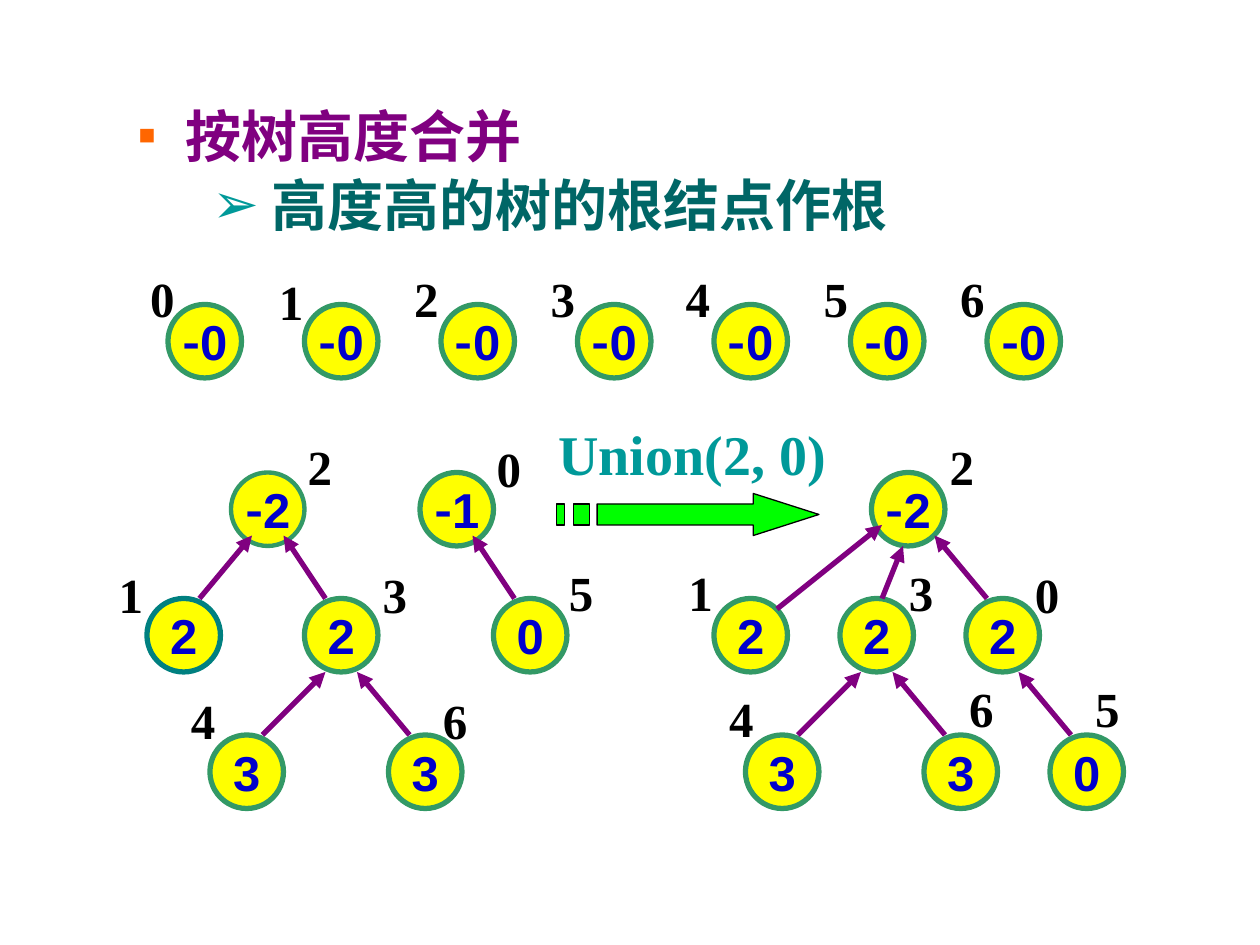
from dataclasses import dataclass
from typing import NamedTuple

import pptx
import pptx.dml.color
import pptx.enum.shapes
import pptx.enum.text
import pptx.oxml
import pptx.oxml.ns
import pptx.util

SCALE = 9525  # EMU in one px, 96 px to the inch
SIDE = 56
TAG_W, TAG_H = 37, 55


@dataclass(frozen=True)
class Theme:
    head: str = "800080"
    sub: str = "006666"
    mark: str = "FF6600"
    teal: str = "009999"
    fill: str = "FFFF00"
    rim: str = "339966"
    rim_alt: str = "008080"
    value: str = "0000CC"
    link: str = "800080"
    arrow: str = "00FF00"
    ink: str = "000000"
    big: int = 32
    small: int = 28
    sans: str = "Arial"
    serif: str = "Times New Roman"
    cjk: str = "Noto Sans CJK SC"
    cjk_sub: str = "Noto Sans CJK JP"


THEME = Theme()


class Node(NamedTuple):
    tag: str
    value: str
    x: int
    y: int
    tag_x: int
    tag_y: int
    rim: str = THEME.rim
    width: float = 3


class Link(NamedTuple):
    x1: int
    y1: int
    x2: int
    y2: int


class Item(NamedTuple):
    text: str
    level: int
    color: str
    font: str
    east: str
    mark: str
    mark_color: str
    mark_size: int
    left: int
    hang: int


ITEMS = [
    Item("按树高度合并", 0, THEME.head, THEME.sans, THEME.cjk,
         "■", THEME.mark, 50, 36, 36),
    Item(" 高度高的树的根结点作根", 1, THEME.sub, THEME.cjk_sub, THEME.cjk_sub,
         "➢", THEME.teal, 100, 86, 30),
]

ROW_TAGS = [(105, 200), (203, 202), (306, 200), (410, 200),
            (513, 200), (618, 200), (722, 200)]
ROW = [Node(str(i), "-0", 128 + 104 * i, 232, *spot)
       for i, spot in enumerate(ROW_TAGS)]

BEFORE = [
    Node("2", "-2", 176, 360, 225, 328, width=2.5),
    Node("0", "-1", 320, 360, 369, 329),
    Node("1", "2", 112, 456, 81, 425, rim=THEME.rim_alt),
    Node("3", "2", 232, 456, 282, 425),
    Node("5", "0", 376, 456, 424, 424),
    Node("4", "3", 160, 560, 136, 521),
    Node("6", "3", 296, 560, 328, 521),
]

AFTER = [
    Node("2", "-2", 664, 360, 714, 328),
    Node("1", "2", 544, 456, 515, 424),
    Node("3", "2", 640, 456, 683, 424),
    Node("0", "2", 736, 456, 779, 425),
    Node("4", "3", 568, 560, 546, 520),
    Node("6", "3", 704, 560, 729, 512),
    Node("5", "0", 800, 560, 825, 512),
]

LINKS = [
    Link(152, 456, 192, 408), Link(248, 456, 216, 408),
    Link(392, 456, 360, 408), Link(200, 560, 248, 512),
    Link(312, 560, 272, 512), Link(592, 464, 672, 400),
    Link(672, 456, 688, 416), Link(752, 456, 712, 408),
    Link(608, 560, 656, 512), Link(720, 560, 680, 512),
    Link(816, 560, 776, 512),
]


def px(*nums: int) -> list:
    return [pptx.util.Emu(n * SCALE) for n in nums]


def rgb(code: str) -> pptx.dml.color.RGBColor:
    return pptx.dml.color.RGBColor.from_string(code)


def add_run(para, text: str, font: str, size: int, color: str):
    run = para.add_run()
    run.text = text
    run.font.name = font
    run.font.size = pptx.util.Pt(size)
    run.font.bold = True
    run.font.color.rgb = rgb(color)
    return run


def paint(shape, fill: str, line: str, width: float) -> None:
    shape.shadow.inherit = False
    shape.fill.solid()
    shape.fill.fore_color.rgb = rgb(fill)
    shape.line.color.rgb = rgb(line)
    shape.line.width = pptx.util.Pt(width)


def add_xml(parent, tag: str, **attrs: str):
    child = pptx.oxml.parse_xml(f"<a:{tag} {pptx.oxml.ns.nsdecls('a')}/>")
    for key, val in attrs.items():
        child.set(key, val)
    parent.append(child)
    return child


def draw_item(para, item: Item) -> None:
    para.level = item.level
    para.line_spacing = pptx.util.Pt(39)
    para.space_before = pptx.util.Pt(0)
    props = para._p.get_or_add_pPr()
    props.set("marL", str(item.left * SCALE))
    props.set("indent", str(-item.hang * SCALE))
    add_xml(add_xml(props, "buClr"), "srgbClr", val=item.mark_color)
    add_xml(props, "buSzPct", val=str(item.mark_size * 1000))
    add_xml(props, "buFont", typeface=THEME.sans)
    add_xml(props, "buChar", char=item.mark)
    run = add_run(para, item.text, item.font, THEME.big, item.color)
    add_xml(run.font._element, "ea", typeface=item.east)


def draw_body(slide) -> None:
    title = slide.shapes.title
    title._element.getparent().remove(title._element)
    body = slide.placeholders[1]
    body.left, body.top, body.width, body.height = px(96, 72, 776, 504)
    frame = body.text_frame
    frame.auto_size = pptx.enum.text.MSO_AUTO_SIZE.NONE
    for i, item in enumerate(ITEMS):
        draw_item(frame.add_paragraph() if i else frame.paragraphs[0], item)


def draw_text(slide, text: str, box: tuple, size: int, color: str) -> None:
    frame = slide.shapes.add_textbox(*px(*box)).text_frame
    frame.word_wrap = False
    frame.auto_size = pptx.enum.text.MSO_AUTO_SIZE.SHAPE_TO_FIT_TEXT
    add_run(frame.paragraphs[0], text, THEME.serif, size, color)


def draw_node(slide, node: Node) -> None:
    disc = slide.shapes.add_shape(pptx.enum.shapes.MSO_SHAPE.OVAL,
                                  *px(node.x, node.y, SIDE, SIDE))
    paint(disc, THEME.fill, node.rim, node.width)
    frame = disc.text_frame
    frame.word_wrap = False
    frame.vertical_anchor = pptx.enum.text.MSO_ANCHOR.MIDDLE
    para = frame.paragraphs[0]
    para.alignment = pptx.enum.text.PP_ALIGN.CENTER
    for char in node.value:
        font = THEME.cjk if char == "-" else THEME.sans
        add_run(para, char, font, THEME.small, THEME.value)
    draw_text(slide, node.tag, (node.tag_x, node.tag_y, TAG_W, TAG_H),
              THEME.small, THEME.ink)


def draw_link(slide, link: Link) -> None:
    line = slide.shapes.add_connector(
        pptx.enum.shapes.MSO_CONNECTOR.STRAIGHT, *px(*link))
    line.line.color.rgb = rgb(THEME.link)
    line.line.width = pptx.util.Pt(3)
    add_xml(line.line._get_or_add_ln(), "tailEnd", type="triangle")
    add_xml(line._element.spPr, "effectLst")


def draw_arrow(slide) -> None:
    """Draw a right arrow with two stripes behind its shaft."""
    top, low = 384, 400
    pen = slide.shapes.build_freeform(455, top, scale=SCALE)
    pen.add_line_segments([(574, top), (574, 376), (624, 392),
                           (574, 408), (574, low), (455, low)])
    for left, right in [(424, 430), (437, 449)]:
        pen.move_to(left, top)
        pen.add_line_segments([(right, top), (right, low), (left, low)])
    paint(pen.convert_to_shape(), THEME.arrow, THEME.ink, 0.75)


def main() -> None:
    deck = pptx.Presentation()
    deck.slide_width, deck.slide_height = px(960, 720)
    slide = deck.slides.add_slide(deck.slide_layouts[1])
    draw_body(slide)
    for node in ROW + BEFORE + AFTER:
        draw_node(slide, node)
    for link in LINKS:
        draw_link(slide, link)
    draw_text(slide, "Union(2, 0)", (416, 315, 223, 61), THEME.big, THEME.teal)
    draw_arrow(slide)
    deck.save("out.pptx")


if __name__ == "__main__":
    main()
